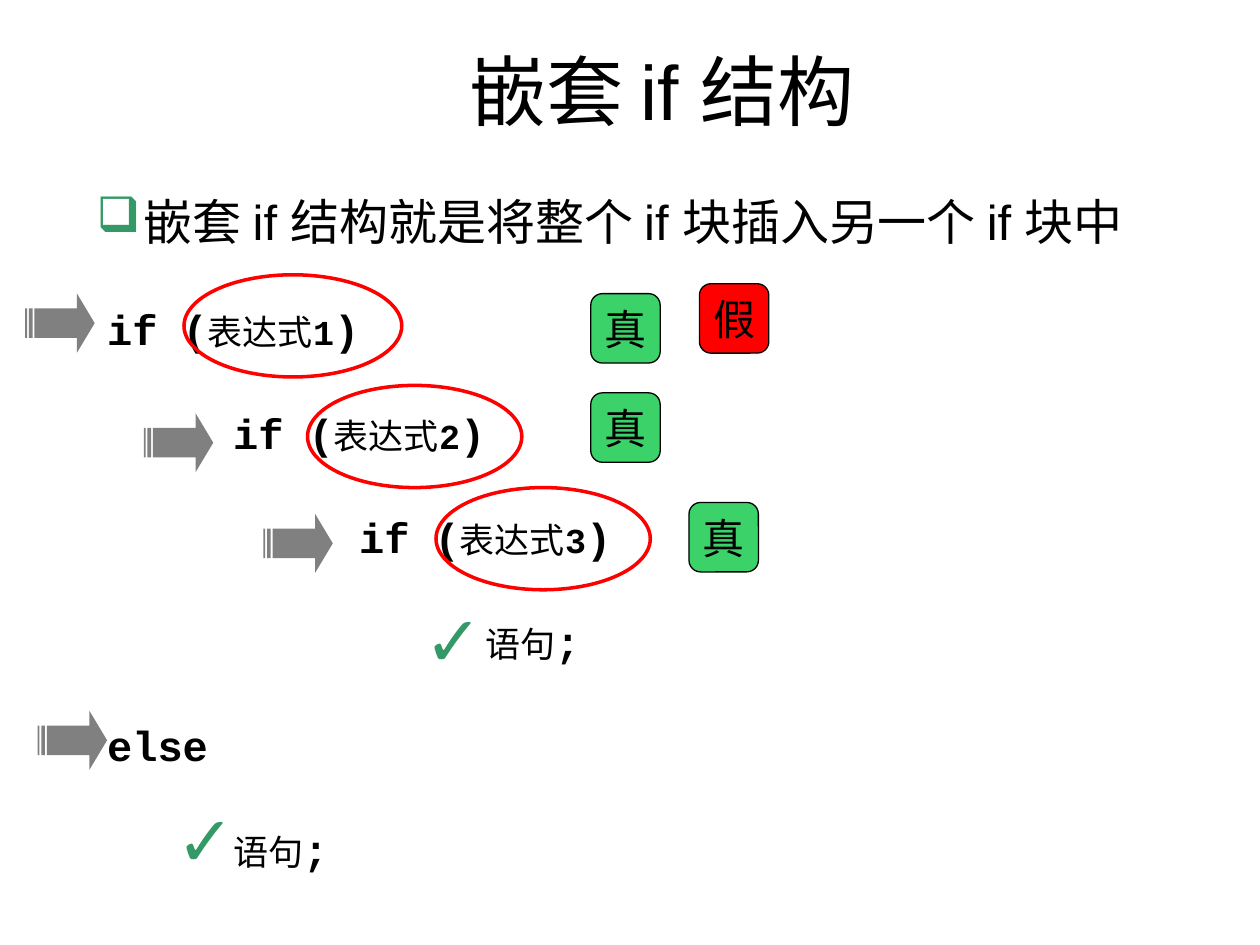
from lxml.etree import SubElement
from pptx import Presentation
from pptx.dml.color import RGBColor
from pptx.enum.shapes import MSO_SHAPE
from pptx.enum.text import MSO_ANCHOR, PP_ALIGN
from pptx.oxml.ns import qn
from pptx.util import Cm, Pt

BLACK = RGBColor(0, 0, 0)
RED = RGBColor(0xFF, 0, 0)
GREEN = RGBColor(0x3C, 0xD2, 0x6A)
TEAL = RGBColor(0x33, 0x99, 0x66)
GRAY = RGBColor(0x80, 0x80, 0x80)


class Page:
    sans = "Arial"
    mono = "Courier New"

    def __init__(self, deck):
        self.slide = deck.slides.add_slide(deck.slide_layouts[5])
        self.shapes = self.slide.shapes

    def style(self, font, size, name=sans, color=BLACK, bold=False):
        font.name, font.size, font.bold = name, Pt(size), bold
        font.color.rgb = color

    def title(self, text, x, y, w, h):
        box = self.shapes.title
        box.left, box.top, box.width, box.height = Cm(x), Cm(y), Cm(w), Cm(h)
        frame = box.text_frame
        frame.text = text
        frame.vertical_anchor = MSO_ANCHOR.MIDDLE
        para = frame.paragraphs[0]
        para.alignment = PP_ALIGN.CENTER
        self.style(para.font, 44)

    def text(self, x, y, w, h):
        box = self.shapes.add_textbox(Cm(x), Cm(y), Cm(w), Cm(h))
        box.text_frame.word_wrap = True
        return box.text_frame

    def bullet(self, text, x, y, w, h):
        para = self.text(x, y, w, h).paragraphs[0]
        para.text = text
        props = para._p.get_or_add_pPr()
        props.set("marL", str(Cm(0.95)))
        props.set("indent", str(Cm(-0.95)))
        tint = SubElement(props, qn("a:buClr"))
        SubElement(tint, qn("a:srgbClr")).set("val", str(TEAL))
        SubElement(props, qn("a:buChar")).set("char", "❑")
        self.style(para.font, 28)

    def code(self, lines, x, y, w, h):
        frame = self.text(x, y, w, h)
        for i, (depth, parts) in enumerate(lines):
            para = frame.add_paragraph() if i else frame.paragraphs[0]
            para._p.get_or_add_pPr().set("marL", str(Cm(2.54 * depth)))
            if i:
                para.line_spacing = Pt(28)
                para.space_before = Pt(31.5)
            for text, size, bold in parts:
                run = para.add_run()
                run.text = text
                self.style(run.font, size, self.mono, bold=bold)

    def tick(self, x, y):
        para = self.text(x, y, 1.6, 1.96).paragraphs[0]
        para.text = "✓"
        self.style(para.font, 40, color=TEAL, bold=True)

    def shape(self, kind, x, y, w, h, fill=None, line=None, width=0.75):
        item = self.shapes.add_shape(kind, Cm(x), Cm(y), Cm(w), Cm(h))
        item.shadow.inherit = False
        if fill is None:
            item.fill.background()
        else:
            item.fill.solid()
            item.fill.fore_color.rgb = fill
        if line is None:
            item.line.fill.background()
        else:
            item.line.color.rgb = line
            item.line.width = Pt(width)
        return item

    def badge(self, text, x, y, fill):
        item = self.shape(MSO_SHAPE.ROUNDED_RECTANGLE, x, y, 1.4, 1.4, fill, BLACK)
        frame = item.text_frame
        frame.word_wrap = False
        frame.vertical_anchor = MSO_ANCHOR.MIDDLE
        frame.text = text
        para = frame.paragraphs[0]
        para.alignment = PP_ALIGN.CENTER
        self.style(para.font, 24)

    def ring(self, x, y, w):
        self.shape(MSO_SHAPE.OVAL, x, y, w, 2.06, line=RED, width=2)

    def arrow(self, x, y):
        item = self.shape(MSO_SHAPE.STRIPED_RIGHT_ARROW, x, y, 1.4, 1.19, GRAY)
        item.adjustments[0] = 0.5
        item.adjustments[1] = 0.3


def test(num):
    return [("if (", 24, True), ("表达式", 20, False),
            (str(num), 20, True), (")", 24, True)]


def main():
    deck = Presentation()
    deck.slide_width, deck.slide_height = Cm(25.4), Cm(19.05)
    page = Page(deck)

    # Heading and definition
    page.bullet("嵌套 if 结构就是将整个 if 块插入另一个 if 块中", 1.7, 3.73, 23.7, 3.2)
    page.title("嵌套 if 结构", 1.91, 0.71, 22.86, 2.21)

    # Nested code, each line with its depth
    body = [("语句", 20, False), (";", 24, True)]
    lines = [(i, test(i + 1)) for i in range(3)]
    lines += [(3, body), (0, [("else", 24, True)]), (1, body)]
    page.code(lines, 1.91, 5.99, 22.2, 11.66)

    # Outcome badges
    for x, y in [(11.91, 5.92), (11.91, 7.92), (13.89, 10.13)]:
        page.badge("真", x, y, GREEN)
    page.badge("假", 14.1, 5.72, RED)

    # Rings around the conditions
    for x, y, w in [(3.71, 5.54, 4.39), (6.2, 7.77, 4.32), (8.79, 9.83, 4.32)]:
        page.ring(x, y, w)

    # Step arrows and ticks
    for x, y in [(0.51, 5.92), (2.9, 8.33), (5.31, 10.36), (0.76, 14.33)]:
        page.arrow(x, y)
    for x, y in [(8.31, 11.91), (3.3, 15.93)]:
        page.tick(x, y)

    deck.save("out.pptx")


if __name__ == "__main__":
    main()
